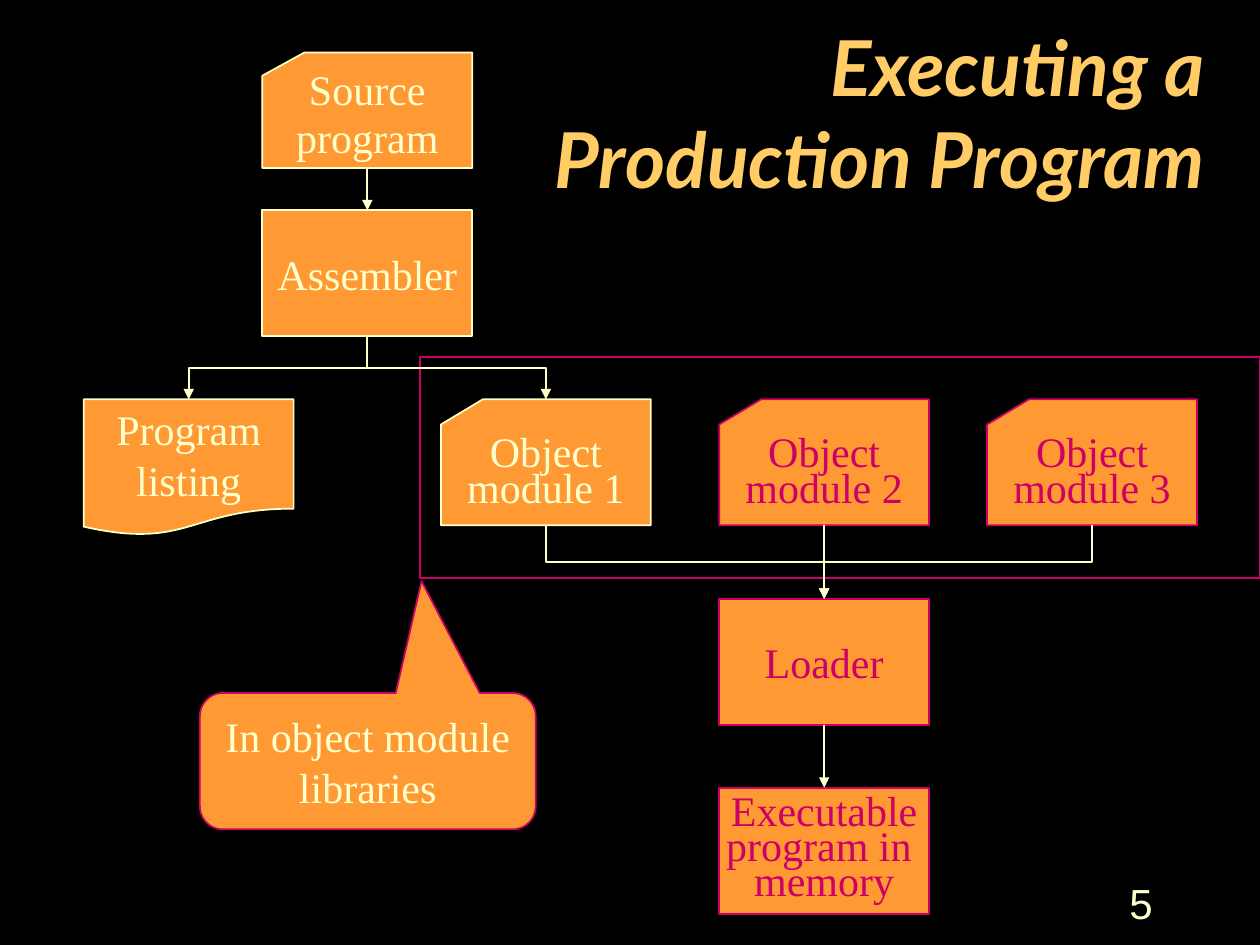
from lxml import etree
from pptx import Presentation
from pptx.dml.color import RGBColor
from pptx.enum.shapes import MSO_CONNECTOR, MSO_SHAPE
from pptx.enum.text import MSO_ANCHOR, PP_ALIGN
from pptx.oxml.ns import qn
from pptx.util import Cm, Pt

RECT = MSO_SHAPE.RECTANGLE
CARD = MSO_SHAPE.FLOWCHART_CARD
DOCUMENT = MSO_SHAPE.FLOWCHART_DOCUMENT
CALLOUT = MSO_SHAPE.ROUNDED_RECTANGULAR_CALLOUT
STRAIGHT, ELBOW = MSO_CONNECTOR.STRAIGHT, MSO_CONNECTOR.ELBOW
CENTER, RIGHT = PP_ALIGN.CENTER, PP_ALIGN.RIGHT
MIDDLE, BOTTOM = MSO_ANCHOR.MIDDLE, MSO_ANCHOR.BOTTOM

ORANGE, CREAM, MAGENTA, GOLD, BLACK = "FF9933", "FFFFCC", "CC0066", "FFCC66", "000000"
NODE_W, NODE_H = 4.23, 2.54
TITLE_FONT = {"name": "Lato", "size": Pt(44), "bold": True, "italic": True}
NODE_FONT = {"name": "Times New Roman", "size": Pt(24)}
NUMBER_FONT = {"name": "Arial", "size": Pt(24)}


def color(code):
    return RGBColor.from_string(code)


def write(box, lines, font, ink, align, anchor, wrap, spacings=()):
    """Put one paragraph per line into a box; spacings pairs with the lines."""
    frame = box.text_frame
    frame.word_wrap = wrap
    frame.vertical_anchor = anchor
    for index, line in enumerate(lines):
        para = frame.paragraphs[0] if index == 0 else frame.add_paragraph()
        para.alignment = align
        if index < len(spacings):
            para.line_spacing = spacings[index]
        span = para.add_run()
        span.text = line
        for key, value in font.items():
            setattr(span.font, key, value)
        span.font.color.rgb = color(ink)


def add_label(page, box, text, font, ink, anchor):
    label = page.shapes.add_textbox(*(Cm(n) for n in box))
    write(label, [text], font, ink, RIGHT, anchor, True)


def add_node(page, kind, box, lines=(), line=CREAM, ink=CREAM, spacings=(), fill=ORANGE):
    node = page.shapes.add_shape(kind, *(Cm(n) for n in box))
    node.shadow.inherit = False
    if fill:
        node.fill.solid()
        node.fill.fore_color.rgb = color(fill)
    else:
        node.fill.background()
    node.line.color.rgb = color(line)
    node.line.width = Pt(1)
    write(node, lines, NODE_FONT, ink, CENTER, MIDDLE, False, spacings)
    return node


def add_arrow(page, start, end):
    """Arrow downwards; sideways moves bend halfway down."""
    (x1, y1), (x2, y2) = start, end
    if x1 == x2:
        arrow = page.shapes.add_connector(STRAIGHT, Cm(x1), Cm(y1), Cm(x2), Cm(y2))
    else:
        # An elbow leaves sideways, so it is laid flat and turned about its centre
        drop, reach = y2 - y1, abs(x2 - x1)
        left = (x1 + x2 - drop) / 2
        top = (y1 + y2 - reach) / 2
        ends = (left, left + drop) if x2 < x1 else (left + drop, left)
        arrow = page.shapes.add_connector(
            ELBOW, Cm(ends[0]), Cm(top), Cm(ends[1]), Cm(top + reach))
        turn = 90 if x2 < x1 else 270
        arrow._element.spPr.find(qn("a:xfrm")).set("rot", str(turn * 60000))
    arrow.line.color.rgb = color(CREAM)
    arrow.line.width = Pt(1)
    etree.SubElement(arrow.line._get_or_add_ln(), qn("a:tailEnd"), type="triangle")
    etree.SubElement(arrow._element.spPr, qn("a:effectLst"))


def add_library(page, left, top):
    """Frame round the object modules, with its callout."""
    add_node(page, RECT, (left, top, 16.93, 4.45), line=MAGENTA, fill=None)
    callout = add_node(page, CALLOUT, (left - 4.44, top + 6.77, 6.77, 2.75),
                       ["In object module", "libraries"], MAGENTA)
    for index, value in enumerate((0.16, -1.32, 0.17)):
        callout.adjustments[index] = value


def add_assembly(page, left, top):
    """Source program, assembler and its two outputs."""
    source_h, assembler_y, output_y = 2.33, top + 3.18, top + 6.99
    middle, module_x = left + 3.6, left + 7.2
    add_node(page, CARD, (middle, top, NODE_W, source_h), ["Source", "program"], spacings=[0.6])
    add_node(page, RECT, (middle, assembler_y, NODE_W, NODE_H), ["Assembler"])
    add_node(page, DOCUMENT, (left, output_y, NODE_W, 2.75), ["Program", "listing"])
    add_node(page, CARD, (module_x, output_y, NODE_W, NODE_H),
             ["Object", "module 1"], spacings=[0.7] * 2)
    center = middle + NODE_W / 2
    add_arrow(page, (center, top + source_h), (center, assembler_y))
    for output_x in (left, module_x):
        add_arrow(page, (center, assembler_y + NODE_H), (output_x + NODE_W / 2, output_y))


def add_loading(page, left, top):
    """Further modules, loader and executable; left and top are those of module 1."""
    loader_x, loader_y, memory_y = left + 5.61, top + 4.02, top + 7.83
    modules = [left, loader_x, left + 11.01]
    nodes = [(CARD, x, top, ["Object", f"module {number}"], [0.7] * 2)
             for number, x in enumerate(modules[1:], 2)]
    nodes += [(RECT, loader_x, loader_y, ["Loader"], []),
              (RECT, loader_x, memory_y, ["Executable", "program in ", "memory"], [0.7] * 3)]
    for kind, x, y, lines, spacings in nodes:
        add_node(page, kind, (x, y, NODE_W, NODE_H), lines, MAGENTA, MAGENTA, spacings)
    center = loader_x + NODE_W / 2
    for x in modules:
        add_arrow(page, (x + NODE_W / 2, top + NODE_H), (center, loader_y))
    add_arrow(page, (center, loader_y + NODE_H), (center, memory_y))


def main():
    deck = Presentation()
    deck.slide_width, deck.slide_height = Cm(25.4), Cm(19.05)
    page = deck.slides.add_slide(deck.slide_layouts[6])
    page.background.fill.solid()
    page.background.fill.fore_color.rgb = color(BLACK)

    add_library(page, 8.47, 7.2)
    add_assembly(page, 1.69, 1.06)
    add_label(page, (10.58, 1.06, 13.97, 3.18), "Executing a Production Program",
              TITLE_FONT, GOLD, BOTTOM)
    add_loading(page, 8.89, 8.05)
    add_label(page, (18.2, 17.57, 5.29, 1.27), "5", NUMBER_FONT, CREAM, MIDDLE)
    deck.save("out.pptx")


if __name__ == "__main__":
    main()
